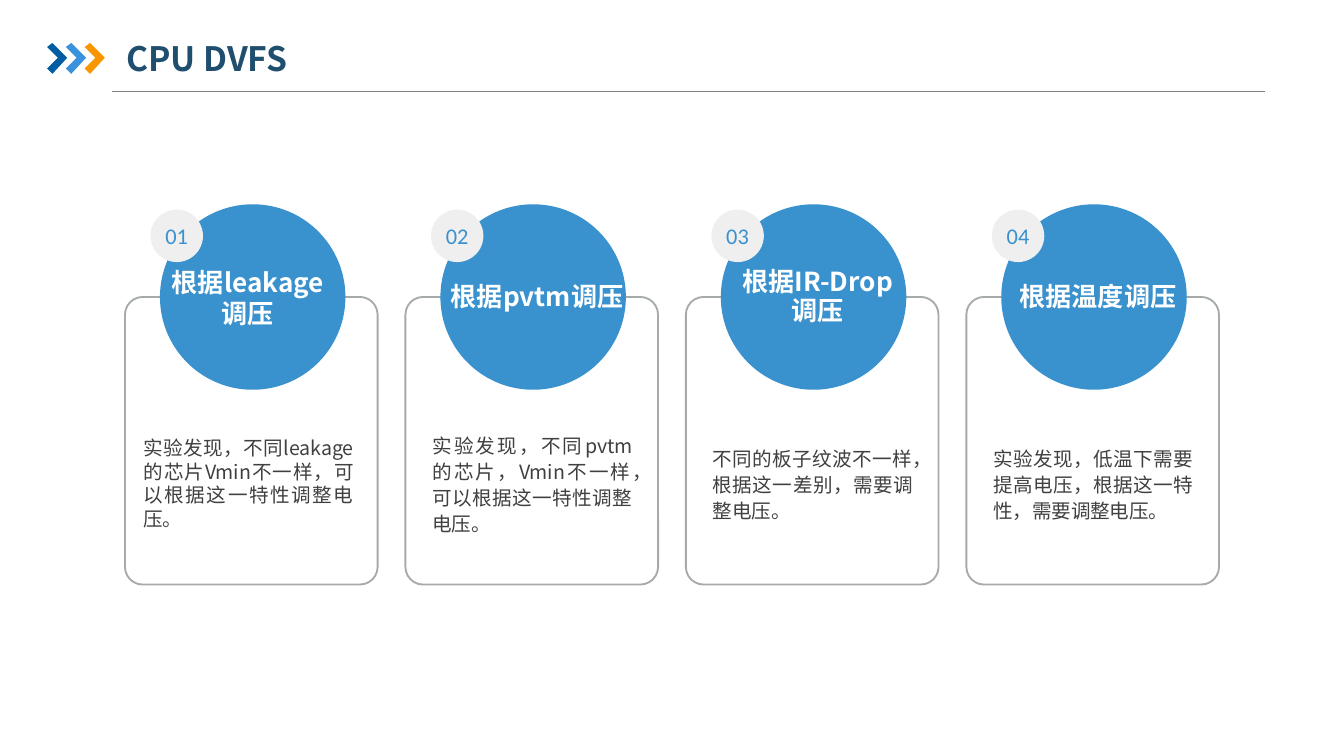
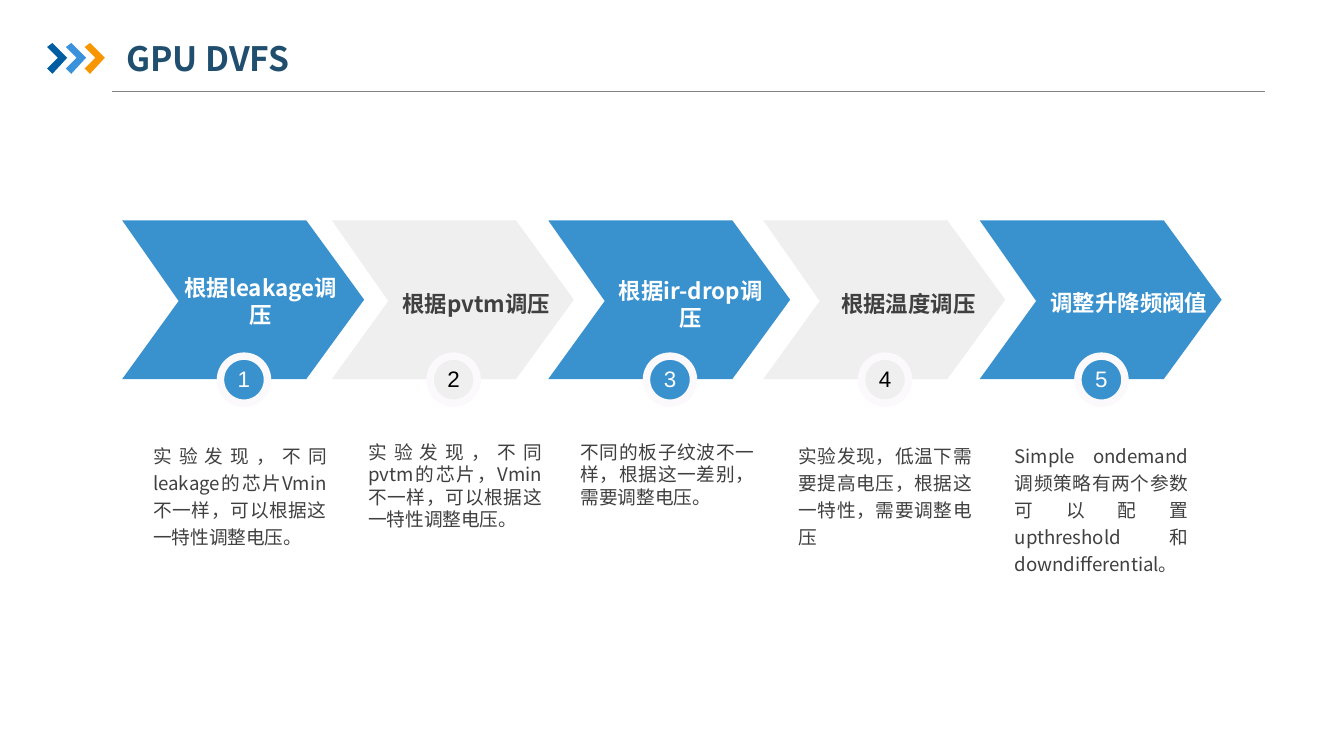
from pptx import Presentation
from pptx.dml.color import RGBColor
from pptx.enum.shapes import MSO_CONNECTOR, MSO_SHAPE
from pptx.enum.text import MSO_ANCHOR, MSO_AUTO_SIZE, PP_ALIGN
from pptx.oxml.ns import qn
from pptx.util import Inches, Pt
from lxml import etree

LEFT, MID, JUST = PP_ALIGN.LEFT, PP_ALIGN.CENTER, PP_ALIGN.JUSTIFY
TOP, CENTER = MSO_ANCHOR.TOP, MSO_ANCHOR.MIDDLE
FIXED = MSO_AUTO_SIZE.NONE
OVAL, ROUND = MSO_SHAPE.OVAL, MSO_SHAPE.ROUNDED_RECTANGLE
STRAIGHT = MSO_CONNECTOR.STRAIGHT

SANS = "Noto Sans CJK SC"
NAVY, BLUE, PALE = "1F4E6F", "3991CE", "EFEFEF"
WHITE, BLACK, INK = "FFFFFF", "000000", "404040"
GREY, EDGE, RING = "808080", "A6AAA9", "FBF9FC"
MARKS = ("005DA2", "3992DB", "F79600")


def rgb(code):
    return RGBColor.from_string(code)


def paint(shape, fill=None, line=None, width=1):
    shape.shadow.inherit = False
    if fill:
        shape.fill.solid()
        shape.fill.fore_color.rgb = rgb(fill)
    else:
        shape.fill.background()
    if line:
        shape.line.color.rgb = rgb(line)
        shape.line.width = Pt(width)
    else:
        shape.line.fill.background()


def write(shape, text, size, color, bold=False, align=LEFT, anchor=CENTER,
          inset=(0, 0), face=SANS, wrap=True, lead=None, before=None):
    frame = shape.text_frame
    frame.word_wrap = wrap
    frame.auto_size = FIXED
    frame.vertical_anchor = anchor
    frame.margin_left = frame.margin_right = Inches(inset[0])
    frame.margin_top = frame.margin_bottom = Inches(inset[1])
    frame.text = text
    para = frame.paragraphs[0]
    para.alignment = align
    if lead:
        para.line_spacing = lead
    if before:
        para.space_before = Pt(before)
    font = para.font
    font.name, font.size, font.bold = face, Pt(size), bold
    font.color.rgb = rgb(color)
    props = para._p.pPr.find(qn("a:defRPr"))
    etree.SubElement(props, qn("a:ea"), typeface=face)


def label(host, x, y, w, h, text, size, color, **style):
    box = host.add_textbox(Inches(x), Inches(y), Inches(w), Inches(h))
    write(box, text, size, color, **style)


def disc(host, x, y, size, fill, line=None, width=1):
    shape = host.add_shape(OVAL, Inches(x), Inches(y), Inches(size), Inches(size))
    paint(shape, fill, line, width)


def outline(host, x, y, points, fill):
    spots = [(Inches(x + dx), Inches(y + dy)) for dx, dy in points]
    pen = host.build_freeform(*spots[0])
    pen.add_line_segments(spots[1:], close=True)
    paint(pen.convert_to_shape(), fill)


def header(deck, text):
    slide = deck.slides.add_slide(deck.slide_layouts[5])
    title = slide.shapes.title
    title.left, title.top = Inches(0.94), Inches(0.22)
    title.width, title.height = Inches(2.33), Inches(0.42)
    write(title, text, 18, NAVY, bold=True, inset=(0, 0.05))
    rule = slide.shapes.add_connector(
        STRAIGHT, Inches(0.83), Inches(0.68), Inches(9.41), Inches(0.68))
    rule.line.color.rgb = rgb(GREY)
    rule.line.width = Pt(0.75)
    etree.SubElement(rule._element.spPr, qn("a:effectLst"))
    group = slide.shapes.add_group_shape().shapes
    hook = [(0, 0.03), (0.04, 0), (0.15, 0.11), (0.04, 0.23), (0, 0.19), (0.08, 0.11)]
    for i, fill in enumerate(MARKS):
        outline(group, 0.35 + 0.14 * i, 0.32, hook, fill)
    return slide.shapes


def card(host, x, y, num, head, body, first):
    frame = host.add_shape(ROUND, Inches(x), Inches(y), Inches(1.88), Inches(2.14))
    frame.adjustments[0] = 0.07
    paint(frame, None, EDGE)
    disc(host, x + 0.26, y - 0.69, 1.38, BLUE)
    disc(host, x + 0.19, y - 0.65, 0.39, PALE)
    label(host, x + 0.2, y - 0.61, 0.37, 0.3, f"{num:02d}", 12, BLUE,
          align=MID, face="Calibri", wrap=False, inset=(0.1, 0.05))
    if first:
        spots = (0.22, 1.39), (0.04, 1.76)
        top = low = {"inset": (0.1, 0.05), "before": 2}
    else:
        spots = (0.33, 1.3), (0.2, 1.49)
        top = {"lead": 0.9, "before": 10}
        low = {"lead": Pt(14), "before": 10}
    (hx, hw), (bx, bw) = spots
    label(host, x + hx, y - 0.23, hw, 0.47, head, 14, WHITE, bold=True, align=MID, **top)
    label(host, x + bx, y + 0.92, bw, 0.93, body, 10.5, INK, align=JUST, **low)


def cards(deck, title, items):
    host = header(deck, title)
    step = (7.19 - 0.93) / (len(items) - 1)
    for i, (head, body) in enumerate(items):
        card(host, 0.93 + step * i, 2.21, i + 1, head, body, i == 0)


def arrow(host, x, y, num, head, spot, body, dx, lead):
    dark = num % 2 == 1
    fill = BLUE if dark else PALE
    group = host.add_group_shape().shapes
    edge = [(0, 0), (0.42, 0.6), (0, 1.18), (1.37, 1.18), (1.8, 0.59), (1.37, 0)]
    outline(group, x, y, edge, fill)
    hx, hy, hw = spot
    label(group, x + hx, y + hy, hw, 0.18, head, 12, WHITE if dark else INK,
          bold=True, align=MID)
    badge = host.add_group_shape().shapes
    disc(badge, x + 0.73, y + 1.01, 0.35, fill, RING, 4)
    label(badge, x + 0.86, y + 1.08, 0.09, 0.2, str(num), 12,
          WHITE if dark else BLACK, face="Arial", wrap=False, align=MID)
    label(host, x + dx, y + 1.64, 1.29, 0.81, body, 10, INK,
          align=JUST, anchor=TOP, lead=lead)


def arrows(deck, title, items):
    host = header(deck, title)
    for i, (x, *rest) in enumerate(items):
        arrow(host, x, 1.64, i + 1, *rest)


LEAK = "实验发现，不同leakage的芯片Vmin不一样，可以根据这一特性调整电压。"
PVTM = "实验发现，不同pvtm的芯片，Vmin不一样，可以根据这一特性调整电压。"
DROP = "不同的板子纹波不一样，根据这一差别，需要调整电压。"
COLD = "实验发现，低温下需要提高电压，根据这一特性，需要调整电压"
TUNE = "Simple ondemand调频策略有两个参数可以配置upthreshold和downdifferential。"

deck = Presentation()
deck.slide_width, deck.slide_height = Inches(10), Inches(10) * 9 // 16
cards(deck, "CPU DVFS", [
    ("根据leakage调压", LEAK),
    ("根据pvtm调压", PVTM),
    ("根据IR-Drop调压", DROP),
    ("根据温度调压", COLD + "。"),
])
arrows(deck, "GPU DVFS", [
    (0.91, "根据leakage调压", (0.41, 0.51, 1.24), LEAK, 0.23, 1.2),
    (2.47, "根据pvtm调压", (0.49, 0.53, 1.17), PVTM, 0.27, None),
    (4.08, "根据ir-drop调压", (0.45, 0.53, 1.22), DROP, 0.24, None),
    (5.68, "根据温度调压", (0.48, 0.53, 1.2), COLD, 0.26, 1.2),
    (7.29, "调整升降频阀值", (0.49, 0.52, 1.24), TUNE, 0.26, 1.2),
])
deck.save("out.pptx")
